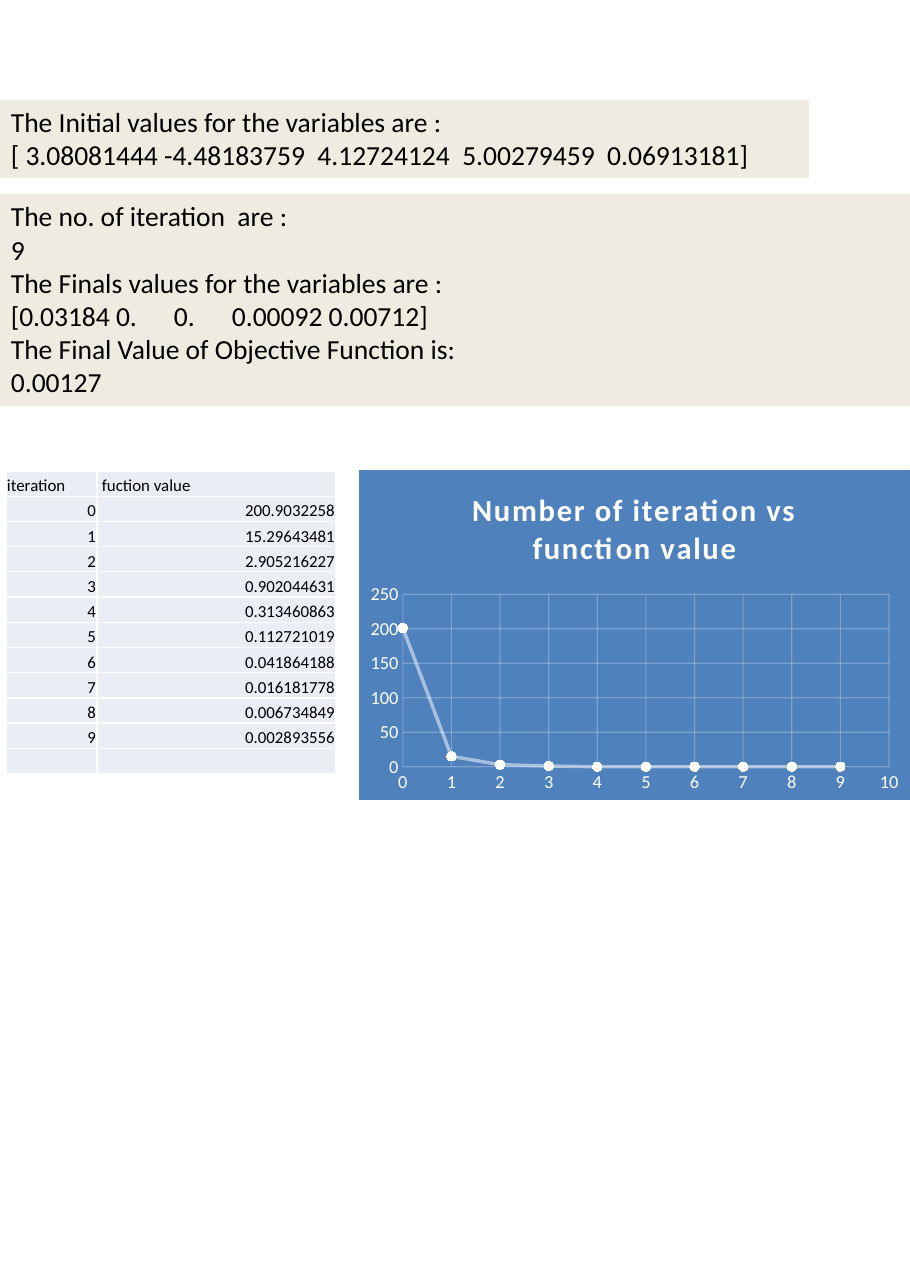
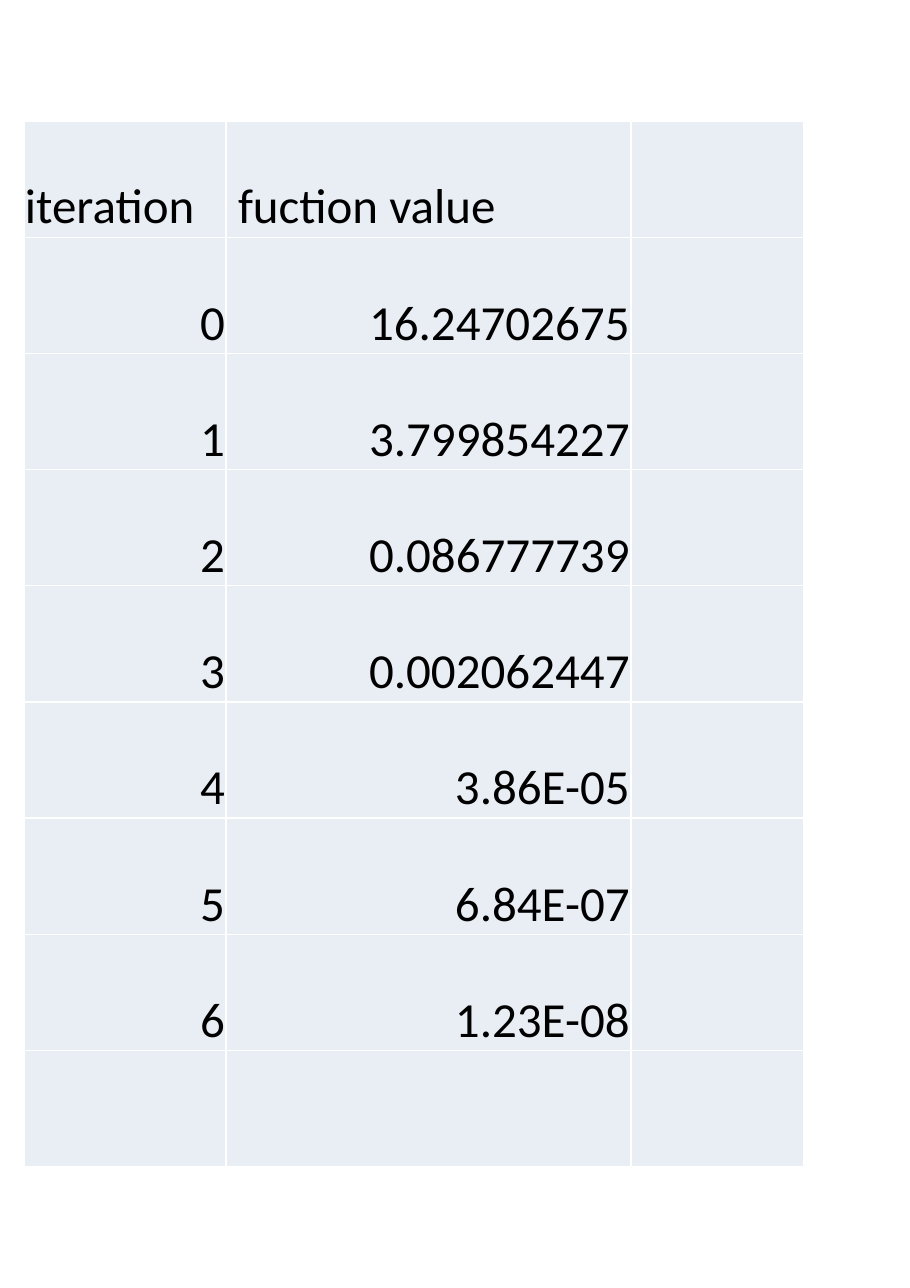
from dataclasses import dataclass
from lxml.etree import SubElement
from pptx import Presentation
from pptx.chart.data import XyChartData
from pptx.dml.color import RGBColor
from pptx.enum.chart import XL_CHART_TYPE as CT, XL_MARKER_STYLE as MARKER, XL_TICK_MARK as TICK
from pptx.enum.text import MSO_ANCHOR as ANCHOR, MSO_AUTO_SIZE as FIT, PP_ALIGN as ALIGN
from pptx.oxml import parse_xml
from pptx.oxml.ns import nsdecls, qn
from pptx.util import Emu, Pt

SCALE = 914400 / 110.2
FONT = "Calibri"
COLORS = {
    "text": "000000",
    "white": "FFFFFF",
    "panel": "EEECE1",
    "cell": "E9EDF4",
    "chart": "4F81BD",
}
HEADER = ("iteration ", " fuction value")


@dataclass
class Box:
    left: int
    top: int
    width: int
    height: int

    def emu(self) -> tuple:
        return tuple(px(n) for n in (self.left, self.top, self.width, self.height))


@dataclass
class Panel:
    box: Box
    lines: list
    tabs: tuple = ()


@dataclass
class ValueTable:
    left: int
    top: int
    height: int
    columns: tuple
    size: int
    values: tuple

    def rows(self) -> list:
        body = [(str(i), value) for i, value in enumerate(self.values)]
        return [HEADER, *body, ()]


def px(n: float) -> Emu:
    return Emu(round(n * SCALE))


def rgb(name: str) -> RGBColor:
    return RGBColor.from_string(COLORS[name])


def set_font(font, size: float, color: str = "text", bold: bool = False) -> None:
    font.name, font.size, font.bold = FONT, Pt(size), bold
    font.color.rgb = rgb(color)


def set_line(line, color: str, width: float, opacity: int) -> None:
    line.width = Pt(width)
    line.color.rgb = rgb(color)
    clr = line._get_or_add_ln().find(".//" + qn("a:srgbClr"))
    SubElement(clr, qn("a:alpha"), val=str(opacity * 1000))


def add_panel(s, panel: Panel) -> None:
    sp = s.shapes.add_textbox(*panel.box.emu())
    sp.fill.solid()
    sp.fill.fore_color.rgb = rgb("panel")
    tf = sp.text_frame
    tf.word_wrap = True
    tf.auto_size = FIT.SHAPE_TO_FIT_TEXT
    for i, line in enumerate(panel.lines):
        p = tf.paragraphs[0] if i == 0 else tf.add_paragraph()
        p.text = line
        if "\t" in line:
            stops = SubElement(p._p.get_or_add_pPr(), qn("a:tabLst"))
            for stop in panel.tabs:
                SubElement(stops, qn("a:tab"), pos=str(px(stop)), algn="l")
        set_font(p.font, 18)


def set_borders(cell) -> None:
    tc_pr = cell._tc.get_or_add_tcPr()
    for i, side in enumerate(("lnL", "lnR", "lnT", "lnB")):
        tc_pr.insert(i, parse_xml(
            f'<a:{side} {nsdecls("a")} w="12700"><a:solidFill>'
            f'<a:srgbClr val="{COLORS["white"]}"/></a:solidFill></a:{side}>'))


def add_values(s, table: ValueTable) -> None:
    rows = table.rows()
    box = Box(table.left, table.top, sum(table.columns), table.height)
    tbl = s.shapes.add_table(len(rows), len(table.columns), *box.emu()).table
    tbl.first_row = tbl.horz_banding = False
    for column, width in zip(tbl.columns, table.columns):
        column.width = px(width)
    for i, row in enumerate(rows):
        tbl.rows[i].height = px(table.height / len(rows))
        for j in range(len(table.columns)):
            cell = tbl.cell(i, j)
            cell.margin_left = cell.margin_right = cell.margin_top = px(1)
            cell.margin_bottom = 0
            cell.vertical_anchor = ANCHOR.BOTTOM
            cell.fill.solid()
            cell.fill.fore_color.rgb = rgb("cell")
            set_borders(cell)
            p = cell.text_frame.paragraphs[0]
            if j < len(row):
                p.text = row[j]
            p.alignment = ALIGN.LEFT if i == 0 else ALIGN.RIGHT
            set_font(p.font, table.size)


def style_axis(axis, top: int, step: int) -> None:
    axis.minimum_scale, axis.maximum_scale, axis.major_unit = 0, top, step
    axis.major_tick_mark = axis.minor_tick_mark = TICK.NONE
    axis.format.line.fill.background()
    axis.has_major_gridlines = True
    set_line(axis.major_gridlines.format.line, "white", 0.75, 25)
    set_font(axis.tick_labels.font, 12, "white")


def add_iteration_chart(s, box: Box, title: str, values: tuple) -> None:
    data = XyChartData()
    points = data.add_series("Series 1")
    for i, value in enumerate(values):
        points.add_data_point(i, value)
    chart = s.shapes.add_chart(CT.XY_SCATTER_LINES, *box.emu(), data).chart
    set_font(chart.font, 10)
    chart.has_legend = False
    chart.has_title = True
    p = chart.chart_title.text_frame.paragraphs[0]
    p.text = title
    set_font(p.font, 20, "white", True)
    p.font._element.set("spc", "100")
    chart.chart_title.include_in_layout = False
    style_axis(chart.category_axis, 10, 1)
    style_axis(chart.value_axis, 250, 50)
    plot = chart.plots[0]
    plot.vary_by_categories = False
    series = plot.series[0]
    series.smooth = False
    set_line(series.format.line, "white", 2.25, 50)
    series.marker.style = MARKER.CIRCLE
    series.marker.size = 6
    series.marker.format.fill.solid()
    series.marker.format.fill.fore_color.rgb = rgb("white")
    series.marker.format.line.fill.background()
    fill = f'<a:solidFill><a:srgbClr val="{COLORS["chart"]}"/></a:solidFill>'
    chart._chartSpace.find(qn("c:chart")).addnext(parse_xml(
        f'<c:spPr {nsdecls("c", "a")}>{fill}<a:ln w="9525">{fill}</a:ln></c:spPr>'))


PANELS = (
    Panel(Box(0, 100, 809, 78), [
        "The Initial values for the variables are :",
        "[ 3.08081444 -4.48183759  4.12724124  5.00279459  0.06913181] ",
    ]),
    Panel(Box(0, 194, 910, 212), [
        "The no. of iteration  are :",
        "9",
        "The Finals values for the variables are :",
        "[0.03184 0.\t0.\t0.00092 0.00712]",
        "The Final Value of Objective Function is:",
        "0.00127",
    ], (163, 221)),
)
FIRST_RUN = ValueTable(6, 471, 303, (91, 239), 11, (
    "200.9032258", "15.29643481", "2.905216227", "0.902044631", "0.313460863",
    "0.112721019", "0.041864188", "0.016181778", "0.006734849", "0.002893556"))
SECOND_RUN = ValueTable(24, 121, 1046, (202, 405, 173), 32, (
    "16.24702675", "3.799854227", "0.086777739", "0.002062447",
    "3.86E-05", "6.84E-07", "1.23E-08"))

prs = Presentation()
prs.slide_width, prs.slide_height = px(910), px(1288)
blank = prs.slide_layouts[6]

s = prs.slides.add_slide(blank)
for panel in PANELS:
    add_panel(s, panel)
add_iteration_chart(s, Box(359, 470, 551, 330), "Number of iteration vs function value",
                    (201, 15, 3, 1, 0, 0, 0, 0, 0, 0))
add_values(s, FIRST_RUN)

s = prs.slides.add_slide(blank)
add_values(s, SECOND_RUN)

prs.save("out.pptx")
